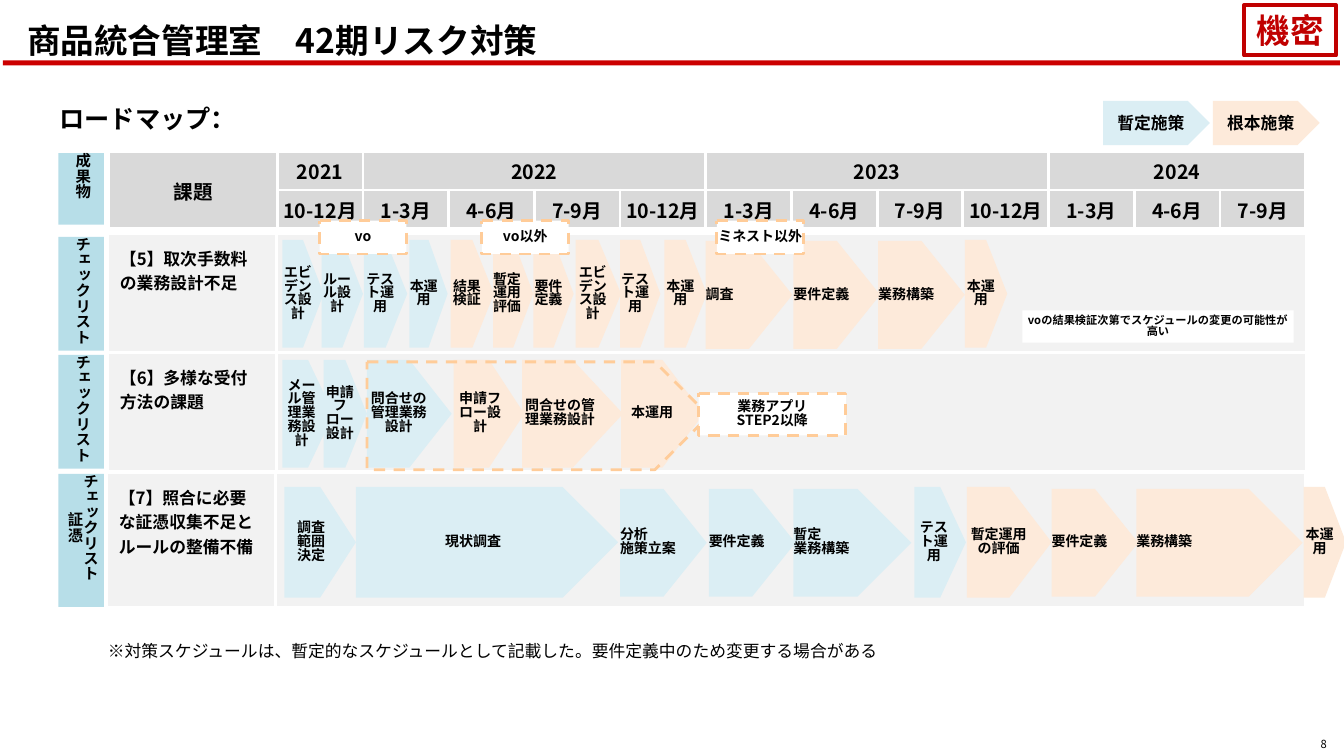
from dataclasses import dataclass, field

from lxml import etree
from pptx import Presentation, util as u
from pptx.dml.color import RGBColor
from pptx.enum import dml, shapes, text
from pptx.oxml import ns

FONT = "Noto Sans CJK JP"
BLUE, PEACH, TEAL = "DBEEF4", "FDEADA", "B7DEE8"
HEAD, BODY, WHITE = "D9D9D9", "F2F2F2", "FFFFFF"
MID, LEFT = text.PP_ALIGN.CENTER, text.PP_ALIGN.LEFT
RIGHT, FULL = text.PP_ALIGN.RIGHT, text.PP_ALIGN.JUSTIFY
PLATE, RECT = shapes.MSO_SHAPE.PENTAGON, shapes.MSO_SHAPE.RECTANGLE
TIGHT = 0.83
QUARTER = 0.85


@dataclass
class Style:
    size: float = 10
    bold: bool = True
    color: str = "000000"
    align: int = MID
    space: float = TIGHT
    pad: tuple = (0, 0.05, 0, 0.05)
    anchor: int = text.MSO_ANCHOR.MIDDLE


@dataclass
class Step:
    x: float
    width: float
    words: str
    fill: str = PEACH
    align: int = MID


@dataclass
class Lane:
    y: float
    height: float
    steps: list = field(default_factory=list)


@dataclass
class Note:
    box: tuple
    words: str


def hue(code: str) -> RGBColor:
    return RGBColor.from_string(code)


def apply(item, values: dict) -> None:
    for name, value in values.items():
        setattr(item, name, value)


def pads(style: Style) -> dict:
    sides = ("margin_left", "margin_top", "margin_right", "margin_bottom")
    return {side: u.Inches(gap) for side, gap in zip(sides, style.pad)}


def write(frame, words: str, style: Style) -> None:
    for i, line in enumerate(words.split("\n")):
        para = frame.add_paragraph() if i else frame.paragraphs[0]
        apply(para, {"alignment": style.align, "line_spacing": style.space})
        run = para.add_run()
        run.text = line
        apply(run.font, {"size": u.Pt(style.size), "bold": style.bold, "name": FONT})
        run.font.color.rgb = hue(style.color)
        east = etree.SubElement(run.font._element, ns.qn("a:ea"))
        east.set("typeface", FONT)


def fit(frame, style: Style, wrap: bool = True) -> None:
    apply(frame, {"word_wrap": wrap, "vertical_anchor": style.anchor, **pads(style)})


def label(slide, box: tuple, words: str, style: Style, wrap: bool = True) -> None:
    frame = slide.shapes.add_textbox(*map(u.Inches, box)).text_frame
    fit(frame, style, wrap)
    write(frame, words, style)


def block(slide, kind, box: tuple, words: str = "", fill: str = "", line: str = "",
          weight: float = 2, dash: bool = False, style: Style = Style()):
    shape = slide.shapes.add_shape(kind, *map(u.Inches, box))
    shape.shadow.inherit = False
    if fill:
        shape.fill.solid()
        shape.fill.fore_color.rgb = hue(fill)
    else:
        shape.fill.background()
    if line:
        shape.line.color.rgb = hue(line)
        shape.line.width = u.Pt(weight)
        if dash:
            shape.line.dash_style = dml.MSO_LINE.DASH
    else:
        shape.line.fill.background()
    if words:
        fit(shape.text_frame, style)
        write(shape.text_frame, words, style)
    return shape


def grid(slide, x: float, y: float, cols: list, rows: list, fill: str):
    box = (x, y, sum(cols), sum(rows))
    table = slide.shapes.add_table(len(rows), len(cols), *map(u.Inches, box)).table
    apply(table, {"first_row": False, "horz_banding": False})
    for col, width in zip(table.columns, cols):
        col.width = u.Inches(width)
    for row, height in zip(table.rows, rows):
        row.height = u.Inches(height)
    for cell in table.iter_cells():
        props = cell._tc.get_or_add_tcPr()
        for side in ("lnL", "lnR", "lnT", "lnB"):
            edge = etree.SubElement(props, ns.qn(f"a:{side}"), w=str(u.Pt(2.25)))
            paint = etree.SubElement(edge, ns.qn("a:solidFill"))
            etree.SubElement(paint, ns.qn("a:srgbClr"), val=WHITE)
        cell.fill.solid()
        cell.fill.fore_color.rgb = hue(fill)
    return table


def enter(cell, words: str, style: Style) -> None:
    apply(cell, {"vertical_anchor": style.anchor, **pads(style)})
    write(cell.text_frame, words, style)


LANES = [
    Lane(2.38, 1.07, [
        Step(2.8, 0.41, "エビデンス設計", BLUE), Step(3.19, 0.41, "ルール設計", BLUE),
        Step(3.61, 0.43, "テスト運用", BLUE), Step(4.06, 0.38, "本運用", BLUE),
        Step(4.47, 0.43, "結果検証"), Step(4.89, 0.4, "暫定運用評価", align=LEFT),
        Step(5.29, 0.4, "要件定義"), Step(5.71, 0.45, "エビデンス設計"),
        Step(6.15, 0.4, "テスト運用"), Step(6.59, 0.42, "本運用"),
        Step(9.57, 0.42, "本運用")]),
    Lane(2.39, 1.07, [
        Step(7, 0.86, "調査", align=LEFT), Step(7.87, 0.86, "要件定義", align=LEFT),
        Step(8.71, 0.86, "業務構築", align=LEFT)]),
    Lane(3.57, 1.07, [
        Step(2.8, 0.51, "メール管理業務設計", BLUE), Step(3.21, 0.43, "申請フロー設計", BLUE),
        Step(3.64, 0.84, "問合せの管理業務\n設計", BLUE), Step(4.5, 0.7, "申請フロー設計"),
        Step(5.18, 1, "問合せの管理業務設計"), Step(6.16, 0.82, "本運用")]),
    Lane(4.83, 1.1, [
        Step(2.82, 0.71, "調査\n範囲\n決定", BLUE), Step(3.53, 2.6, "現状調査", BLUE),
        Step(9.07, 0.51, "テスト運用", BLUE), Step(9.59, 0.84, "暫定運用の評価"),
        Step(12.93, 0.42, "本運用")]),
    Lane(4.85, 1.07, [
        Step(6.15, 0.86, "分析\n施策立案", BLUE, LEFT), Step(7.03, 0.86, "要件定義", BLUE, LEFT),
        Step(7.87, 1.17, "暫定\n業務構築", BLUE, LEFT), Step(10.43, 0.86, "要件定義", align=LEFT),
        Step(11.27, 1.65, "業務構築", align=LEFT)]),
]
NOTES = [
    Note((6.93, 3.9, 1.46, 0.42), "業務アプリ\nSTEP2以降"),
    Note((4.78, 2.19, 0.86, 0.33), "vo以外"),
    Note((3.17, 2.19, 0.86, 0.33), "vo"),
    Note((7.11, 2.19, 0.86, 0.33), "ミネスト以外"),
]
TABS = [
    Note((0.58, 1.52, 0.45, 0.71), "成果物"),
    Note((0.58, 2.35, 0.45, 1.13), "チェックリスト"),
    Note((0.58, 3.52, 0.45, 1.13), "チェックリスト"),
    Note((0.58, 4.7, 0.45, 1.32), "チェックリスト\n証憑"),
]
YEARS = [("2021", 1, 1), ("2022", 2, 5), ("2023", 6, 9), ("2024", 10, 12)]
MONTHS = ["1-3月", "4-6月", "7-9月", "10-12月"]


def main() -> None:
    deck = Presentation()
    apply(deck, {"slide_width": u.Inches(13.33), "slide_height": u.Inches(7.5)})
    slide = deck.slides.add_slide(deck.slide_layouts[6])

    # Title band
    block(slide, RECT, (0.03, 0.6, 13.26, 0.05), fill="CC0000")
    label(slide, (0.17, 0.04, 10.18, 0.71), "商品統合管理室　42期リスク対策",
          Style(24, align=LEFT, space=1, pad=(0.1, 0.05, 0.1, 0.05)))
    block(slide, RECT, (12.34, 0.05, 0.91, 0.5), "機密", line="C00000", weight=3,
          style=Style(24, color="C00000", space=1, pad=(0.1, 0.05, 0.1, 0.05)))
    plain = Style(18, align=FULL, space=1, pad=(0, 0, 0, 0), anchor=text.MSO_ANCHOR.TOP)
    label(slide, (0.59, 1.02, 11.97, 0.61), "ロードマップ：", plain)

    # Calendar header
    top = Style(14, space=1, pad=(0.01, 0.01, 0.01, 0))
    head = grid(slide, 1.08, 1.5, [1.67] + [QUARTER] * 12, [0.385] * 2, HEAD)
    head.cell(0, 0).merge(head.cell(1, 0))
    enter(head.cell(0, 0), "課題", top)
    for year, first, last in YEARS:
        if last > first:
            head.cell(0, first).merge(head.cell(0, last))
        enter(head.cell(0, first), year, top)
    for col in range(1, 13):
        enter(head.cell(1, col), MONTHS[(col - 2) % 4], top)

    # Issue rows
    issue = Style(12, align=LEFT, space=1, pad=(0.12,) * 4, anchor=text.MSO_ANCHOR.TOP)
    for x, y, height, issues in (
            (1.07, 2.32, 1.18, ["【5】取次手数料の業務設計不足", "【6】多様な受付方法の課題"]),
            (1.06, 4.69, 1.34, ["【7】照合に必要な証憑収集不足とルールの整備不備"])):
        table = grid(slide, x, y, [1.67, 10.22], [height] * len(issues), BODY)
        for row, words in enumerate(issues):
            enter(table.cell(row, 0), words, issue)

    # Side tabs with upright text
    for tab in TABS:
        shape = block(slide, RECT, tab.box, tab.words, TEAL, style=Style(11, pad=(0, 0, 0, 0)))
        shape.text_frame._txBody.bodyPr.set("vert", "eaVert")

    # Schedule steps
    for lane in LANES:
        for step in lane.steps:
            block(slide, PLATE, (step.x, lane.y, step.width, lane.height), step.words,
                  step.fill, style=Style(align=step.align))

    # Legend
    for x, words, fill in ((10.94, "暫定施策", BLUE), (12.03, "根本施策", PEACH)):
        block(slide, PLATE, (x, 1, 1.06, 0.44), words, fill,
              style=Style(12, space=1, pad=(0.1, 0.05, 0.1, 0.05)))

    # Dashed frame and notes
    block(slide, PLATE, (3.64, 3.59, 3.39, 1.07), line="FFCC99", dash=True)
    for note in NOTES:
        shape = block(slide, PLATE, note.box, note.words, WHITE, "FFCC99", dash=True)
        shape.adjustments[0] = 0
    shape = block(slide, PLATE, (10.14, 3.08, 2.69, 0.32),
                  "voの結果検証次第でスケジュールの変更の可能性が高い", WHITE, style=Style(8))
    shape.adjustments[0] = 0

    # Footer
    apply(plain, {"size": 12, "bold": False})
    label(slide, (1.07, 6.36, 12.5, 0.2),
          "※対策スケジュールは、暫定的なスケジュールとして記載した。要件定義中のため変更する場合がある", plain)
    label(slide, (12.83, 7.32, 0.43, 0.13), "8",
          Style(8, False, align=RIGHT, space=1, pad=(0.1, 0, 0.1, 0)), False)
    deck.save("out.pptx")


if __name__ == "__main__":
    main()
